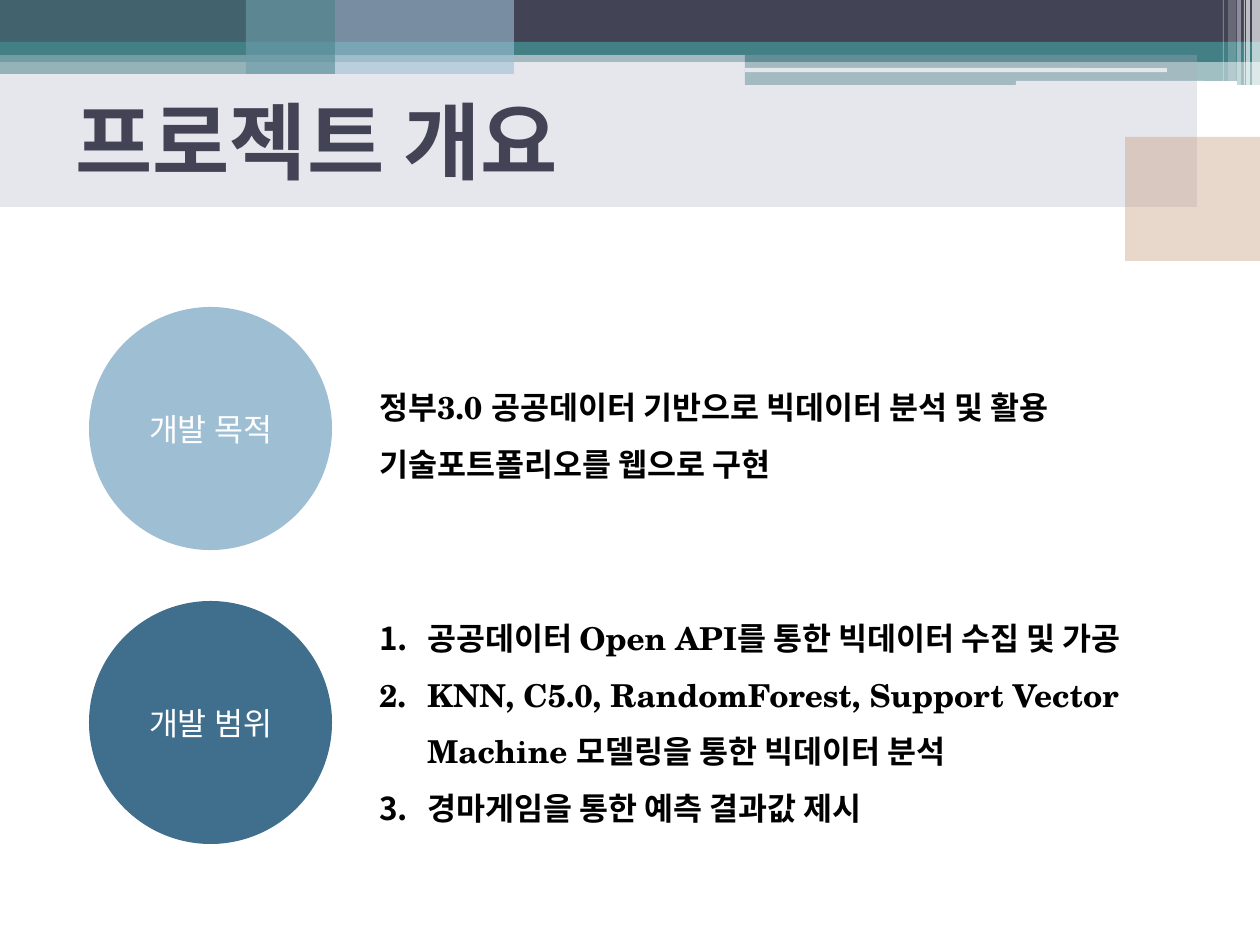
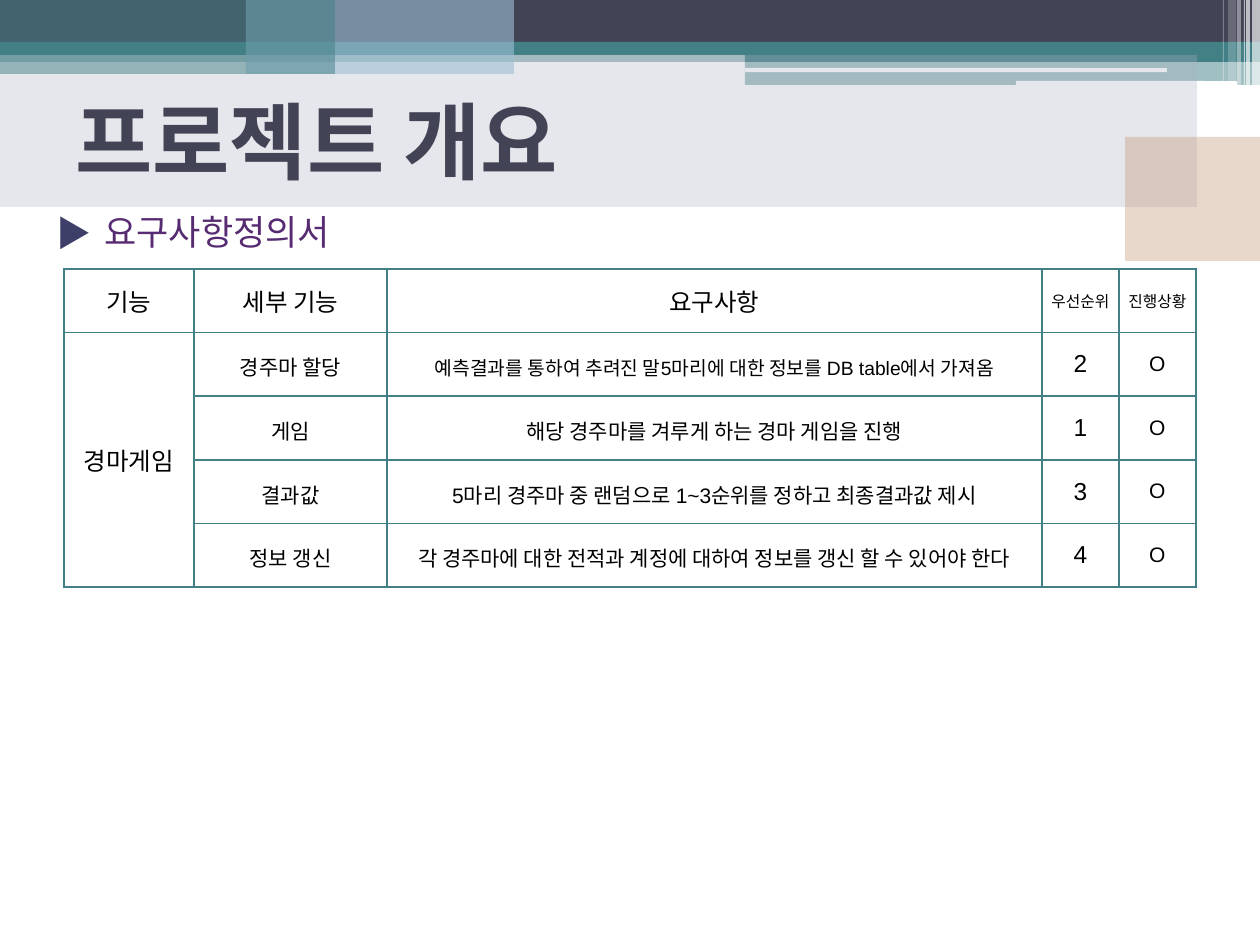
"""Build two project overview slides: goals and scope, then the requirements table."""
from lxml import etree
from pptx import Presentation
from pptx.dml.color import RGBColor
from pptx.enum.shapes import MSO_SHAPE
from pptx.enum.text import MSO_ANCHOR, PP_ALIGN
from pptx.oxml.ns import qn
from pptx.util import Pt

RECT, ROUND, OVAL = MSO_SHAPE.RECTANGLE, MSO_SHAPE.ROUNDED_RECTANGLE, MSO_SHAPE.OVAL
LEFT, CENTER = PP_ALIGN.LEFT, PP_ALIGN.CENTER
TOP, MIDDLE = MSO_ANCHOR.TOP, MSO_ANCHOR.MIDDLE

PX_PER_INCH = 126
KOREAN, SERIF, SANS = "Noto Sans CJK KR", "TeX Gyre Schola", "Arial"
NAVY, TEAL, SKY, STEEL = "424456", "438086", "9DBED3", "406F8D"
LILAC, SAND, WHITE, BLACK = "AEB0C1", "C69B7E", "FFFFFF", "000000"
PURPLE, INDIGO = "562B71", "3E3F68"

TITLE = "프로젝트 개요"
TITLE_BOX = (63, 66, 1134, 147)
BANDS = [
    (RECT, (0, 50, 1260, 12), TEAL, 50),
    (RECT, (0, 0, 1260, 43), NAVY, 100),
    (RECT, (0, 42, 1260, 13), TEAL, 100),
    (RECT, (745, 49, 515, 13), TEAL, 100),
    (RECT, (745, 61, 515, 24), TEAL, 50),
    (ROUND, (745, 68, 422, 4), WHITE, 100),
    (ROUND, (1016, 81, 221, 5), WHITE, 100),
    (RECT, (1252, 0, 8, 85), WHITE, 65),
    (RECT, (1246, 0, 4, 85), WHITE, 65),
    (RECT, (1244, 0, 1, 85), WHITE, 60),
    (RECT, (1237, 0, 4, 85), WHITE, 40),
    (RECT, (1228, 0, 8, 81), WHITE, 20),
    (RECT, (1223, 0, 1, 81), WHITE, 30),
    (RECT, (0, 55, 1197, 152), LILAC, 30),
    (RECT, (1125, 137, 135, 124), SAND, 40),
    (RECT, (246, 0, 268, 74), SKY, 60),
    (RECT, (0, 0, 335, 74), TEAL, 50),
]

TOPICS = [
    ("개발 목적", SKY, (367, 363, 823, 127), False,
     ["정부3.0 공공데이터 기반으로 빅데이터 분석 및 활용",
      "기술포트폴리오를 웹으로 구현"]),
    ("개발 범위", STEEL, (367, 594, 865, 242), True,
     ["공공데이터 Open API를 통한 빅데이터 수집 및 가공",
      "KNN, C5.0, RandomForest, Support Vector Machine 모델링을 통한 빅데이터 분석",
      "경마게임을 통한 예측 결과값 제시"]),
]
CIRCLE_LEFT, CIRCLE_TOP, CIRCLE_SIZE, CIRCLE_STEP = 89, 307, 243, 294
HANGING = 48

SUBTITLE = "요구사항정의서"
SUBTITLE_BOX = (44, 204, 893, 55)
FEATURE = "경마게임"
HEADERS = ["기능", "세부 기능", "요구사항", "우선순위", "진행상황"]
HEADER_SIZES = [14, 14, 14, 9, 9]
REQUIREMENTS = [
    ("경주마 할당", "예측결과를 통하여 추려진 말5마리에 대한 정보를 DB table에서 가져옴", "2", "O"),
    ("게임", "해당 경주마를 겨루게 하는 경마 게임을 진행", "1", "O"),
    ("결과값", "5마리 경주마 중 랜덤으로 1~3순위를 정하고 최종결과값 제시", "3", "O"),
    ("정보 갱신", "각 경주마에 대한 전적과 계정에 대하여 정보를 갱신 할 수 있어야 한다", "4", "O"),
]
DETAIL_SIZES = [12, 12, 14, 12]
LONG_SENTENCE_SIZE = 11
TABLE_LEFT, TABLE_TOP, TABLE_HEIGHT = 64, 269, 318
COLUMN_WIDTHS = [130, 193, 655, 77, 77]
SPACED_COLUMNS = (1, 2)


def px(length):
    return round(length * 914400 / PX_PER_INCH)


def place(box):
    return [px(length) for length in box]


def rgb(color):
    return RGBColor.from_string(color)


def style(paragraph, size, font, color, bold=False, align=LEFT, spacing=None):
    paragraph.alignment = align
    if spacing:
        paragraph.line_spacing = spacing
    face = paragraph.font
    face.size, face.name, face.bold = Pt(size), font, bold
    face.color.rgb = rgb(color)
    defaults = paragraph._p.pPr.find(qn("a:defRPr"))
    etree.SubElement(defaults, qn("a:ea"), typeface=KOREAN)


def add_bullet(paragraph, tag, color, **attributes):
    properties = paragraph._p.pPr
    properties.set("marL", str(px(HANGING)))
    properties.set("indent", str(-px(HANGING)))
    defaults = properties.find(qn("a:defRPr"))
    tint = etree.Element(qn("a:buClr"))
    etree.SubElement(tint, qn("a:srgbClr"), val=color)
    face = etree.Element(qn("a:buFont"), typeface=KOREAN)
    for part in (tint, face, etree.Element(qn(tag), **attributes)):
        defaults.addprevious(part)


def add_block(slide, kind, box, color, opacity=100):
    block = slide.shapes.add_shape(kind, *place(box))
    block.shadow.inherit = False
    block.fill.solid()
    block.fill.fore_color.rgb = rgb(color)
    block.line.fill.background()
    if opacity < 100:
        tint = block.fill._xPr.find(qn("a:solidFill"))[0]
        etree.SubElement(tint, qn("a:alpha"), val=str(opacity * 1000))
    return block


def add_text(slide, box, lines, anchor=TOP, **looks):
    frame = slide.shapes.add_textbox(*place(box)).text_frame
    frame.word_wrap = True
    frame.vertical_anchor = anchor
    frame.text = "\n".join(lines)
    for paragraph in frame.paragraphs:
        style(paragraph, **looks)
    return frame.paragraphs


def add_titled_slide(deck):
    slide = deck.slides.add_slide(deck.slide_layouts[6])
    for band in BANDS:
        add_block(slide, *band)
    add_text(slide, TITLE_BOX, [TITLE], MIDDLE, size=48, font=KOREAN, color=NAVY, bold=True)
    return slide


def add_topics(slide):
    for index, (label, color, box, numbered, lines) in enumerate(TOPICS):
        paragraphs = add_text(slide, box, lines, size=18, font=SERIF, color=BLACK,
                              bold=True, spacing=1.5)
        if numbered:
            for paragraph in paragraphs:
                add_bullet(paragraph, "a:buAutoNum", BLACK, type="arabicPeriod")
        top = CIRCLE_TOP + index * CIRCLE_STEP
        circle = add_block(slide, OVAL, (CIRCLE_LEFT, top, CIRCLE_SIZE, CIRCLE_SIZE), color)
        circle.text_frame.text = label
        circle.text_frame.vertical_anchor = MIDDLE
        style(circle.text_frame.paragraphs[0], 18, SERIF, WHITE, align=CENTER)


def add_borders(cell):
    properties = cell._tc.get_or_add_tcPr()
    for position, side in enumerate(("lnL", "lnR", "lnT", "lnB")):
        border = etree.Element(qn(f"a:{side}"), w=str(Pt(1)))
        fill = etree.SubElement(border, qn("a:solidFill"))
        etree.SubElement(fill, qn("a:srgbClr"), val=TEAL)
        properties.insert(position, border)


def fill_cell(cell, text, size, font, spacing=None):
    cell.text = text
    cell.vertical_anchor = MIDDLE
    cell.margin_left = cell.margin_right = px(6)
    cell.margin_top = cell.margin_bottom = 0 if spacing else px(6)
    cell.fill.background()
    style(cell.text_frame.paragraphs[0], size, font, BLACK, align=CENTER, spacing=spacing)
    add_borders(cell)


def add_requirements(slide):
    row_count = len(REQUIREMENTS) + 1
    box = (TABLE_LEFT, TABLE_TOP, sum(COLUMN_WIDTHS), TABLE_HEIGHT)
    table = slide.shapes.add_table(row_count, len(HEADERS), *place(box)).table
    table.first_row = table.horz_banding = False
    for column, width in zip(table.columns, COLUMN_WIDTHS):
        column.width = px(width)
    for column, (header, size) in enumerate(zip(HEADERS, HEADER_SIZES)):
        fill_cell(table.cell(0, column), header, size, SERIF)
    for row, details in enumerate(REQUIREMENTS, 1):
        fill_cell(table.cell(row, 0), FEATURE if row == 1 else "", 14, SERIF)
        for column, (detail, size) in enumerate(zip(details, DETAIL_SIZES), 1):
            if row == 1 and column == 2:
                size = LONG_SENTENCE_SIZE
            spacing = 1.15 if column in SPACED_COLUMNS else None
            fill_cell(table.cell(row, column), detail, size, SANS, spacing)
    table.cell(1, 0).merge(table.cell(row_count - 1, 0))


def main():
    deck = Presentation()
    deck.slide_width, deck.slide_height = px(1260), px(945)
    add_topics(add_titled_slide(deck))
    requirements = add_titled_slide(deck)
    add_requirements(requirements)
    subtitle = add_text(requirements, SUBTITLE_BOX, [SUBTITLE], size=20, font=KOREAN, color=PURPLE)
    add_bullet(subtitle[0], "a:buChar", INDIGO, char="▶")
    deck.save("out.pptx")


if __name__ == "__main__":
    main()
